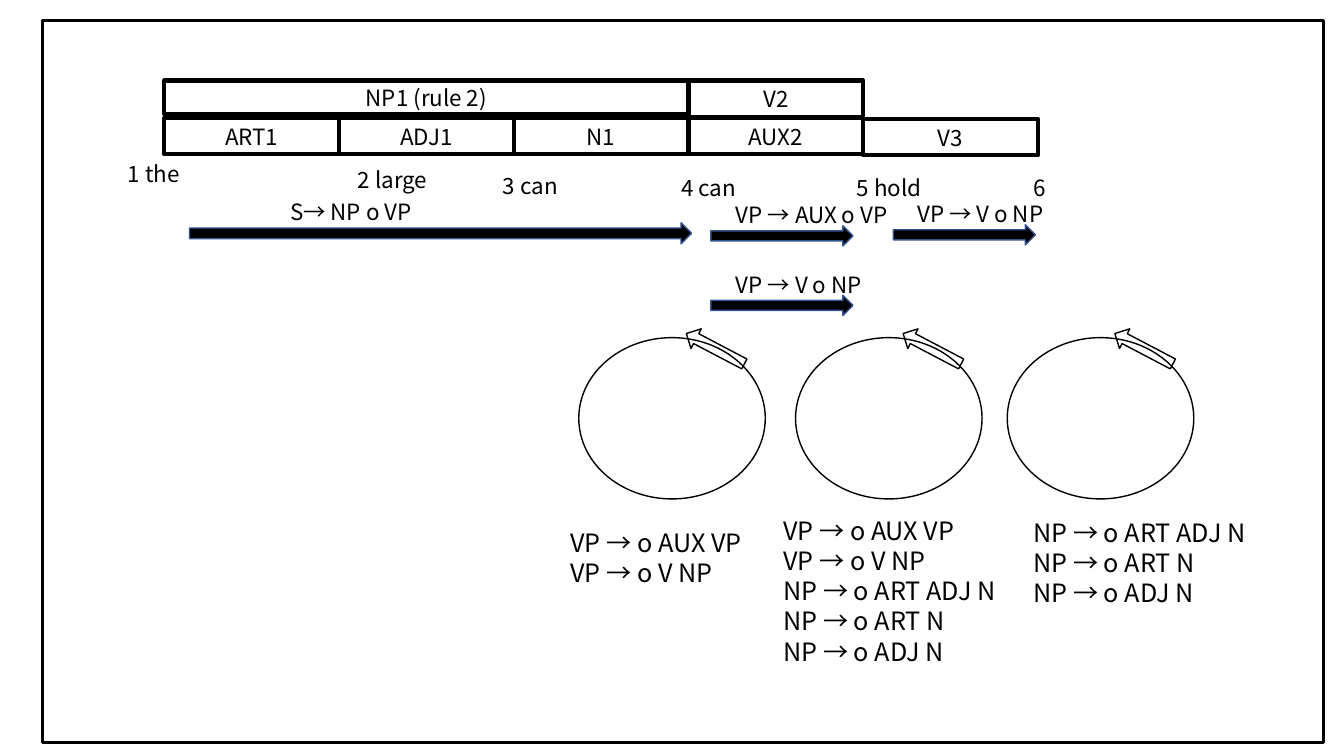
from pptx import Presentation
from pptx.dml.color import RGBColor
from pptx.enum.shapes import MSO_SHAPE
from pptx.enum.text import MSO_ANCHOR, PP_ALIGN
from pptx.util import Inches, Pt

THEME = {
    "font": "Noto Sans CJK KR",
    "ink": RGBColor(0, 0, 0),
    "paper": RGBColor(255, 255, 255),
    "arrow_edge": RGBColor(0x32, 0x54, 0x91),
    "label": 16,
    "rules": 18,
    "leading": 1.2,
}

# Chart entries: text, first column, columns spanned, top, height
COLUMN_LEFT, COLUMN_WIDTH = 1.63, 1.733
ENTRIES = [
    ("ART1", 0, 1, 1.17, 0.36),
    ("ADJ1", 1, 1, 1.17, 0.36),
    ("N1", 2, 1, 1.17, 0.36),
    ("AUX2", 3, 1, 1.17, 0.36),
    ("V2", 3, 1, 0.8, 0.36),
    ("V3", 4, 1, 1.18, 0.36),
    ("NP1 (rule 2)", 0, 3, 0.8, 0.33),
]

# Word positions: text, left, top, width
WORDS = [
    ("1 the", 1.17, 1.54, 0.84),
    ("2 large", 3.45, 1.6, 1.06),
    ("3 can", 4.89, 1.66, 0.88),
    ("4 can", 6.66, 1.68, 1.04),
    ("5 hold", 8.4, 1.68, 1.04),
    ("6", 10.15, 1.68, 0.92),
]

# Active arcs: rule, rule left, rule width, arrow left, top, width, height
ARCS = [
    ("S→ NP o VP", 2.78, 1.73, 1.88, 2.21, 4.98, 0.21),
    ("VP → AUX o VP", 7.2, 1.96, 7.05, 2.24, 1.41, 0.2),
    ("VP → V o NP", 9, 1.91, 8.86, 2.23, 1.41, 0.2),
    ("VP → V o NP", 7.2, 1.96, 7.05, 2.93, 1.41, 0.2),
]
RULE_RISE = 0.29

# Loops: ellipse left, predicted rules left, top, rules
NP_RULES = ["NP → o ART ADJ N", "NP → o ART N", "NP → o ADJ N"]
VP_RULES = ["VP → o AUX VP", "VP → o V NP"]
LOOPS = [
    (5.74, 5.56, 5.18, VP_RULES),
    (7.89, 7.67, 5.06, VP_RULES + NP_RULES),
    (9.99, 10.15, 5.08, NP_RULES),
]

deck = Presentation()
deck.slide_width, deck.slide_height = Inches(13.33), Inches(7.5)
slide = deck.slides.add_slide(deck.slide_layouts[6])


def write(frame, lines, size, **paragraph_format):
    frame.word_wrap = True
    for index, line in enumerate(lines):
        paragraph = frame.paragraphs[0] if index == 0 else frame.add_paragraph()
        for name, value in paragraph_format.items():
            setattr(paragraph, name, value)
        run = paragraph.add_run()
        run.text = line
        run.font.color.rgb = THEME["ink"]
        for name, value in {"name": THEME["font"], "size": Pt(size)}.items():
            setattr(run.font, name, value)


def add_text(lines, left, top, width, size):
    leading = size * THEME["leading"]
    height = 0.1 + len(lines) * leading / 72
    box = slide.shapes.add_textbox(*map(Inches, (left, top, width, height)))
    write(box.text_frame, lines, size, line_spacing=Pt(leading))


def add_outline(parent, kind, bounds, weight, fill=None, edge="ink"):
    outline = parent.shapes.add_shape(kind, *map(Inches, bounds))
    outline.shadow.inherit = False
    outline.line.color.rgb = THEME[edge]
    outline.line.width = Pt(weight)
    if fill:
        outline.fill.solid()
        outline.fill.fore_color.rgb = THEME[fill]
    else:
        outline.fill.background()
    return outline


# Frame
add_outline(slide, MSO_SHAPE.RECTANGLE, (0.42, 0.2, 12.71, 7.17), 2)

# Chart entries
for text, column, span, top, height in ENTRIES:
    left = COLUMN_LEFT + column * COLUMN_WIDTH
    bounds = (left, top, span * COLUMN_WIDTH, height)
    entry = add_outline(slide, MSO_SHAPE.RECTANGLE, bounds, 3, "paper")
    entry.text_frame.vertical_anchor = MSO_ANCHOR.MIDDLE
    write(entry.text_frame, [text], THEME["label"], alignment=PP_ALIGN.CENTER)

# Words
for text, left, top, width in WORDS:
    add_text([text], left, top, width, THEME["label"])

# Active arcs
for rule, rule_left, rule_width, left, top, width, height in ARCS:
    add_outline(slide, MSO_SHAPE.RIGHT_ARROW, (left, top, width, height), 1,
                "ink", "arrow_edge")
    add_text([rule], rule_left, top - RULE_RISE, rule_width, THEME["label"])

# Loops with their predicted rules
for left, rules_left, rules_top, rules in LOOPS:
    loop = slide.shapes.add_group_shape()
    add_outline(loop, MSO_SHAPE.OVAL, (left, 3.35, 1.85, 1.6), 1)
    turn = add_outline(loop, MSO_SHAPE.LEFT_ARROW, (left + 1.03, 3.35, 0.65, 0.22), 1)
    turn.rotation = 27.7
    add_text(rules, rules_left, rules_top, 2.6, THEME["rules"])

deck.save("out.pptx")
